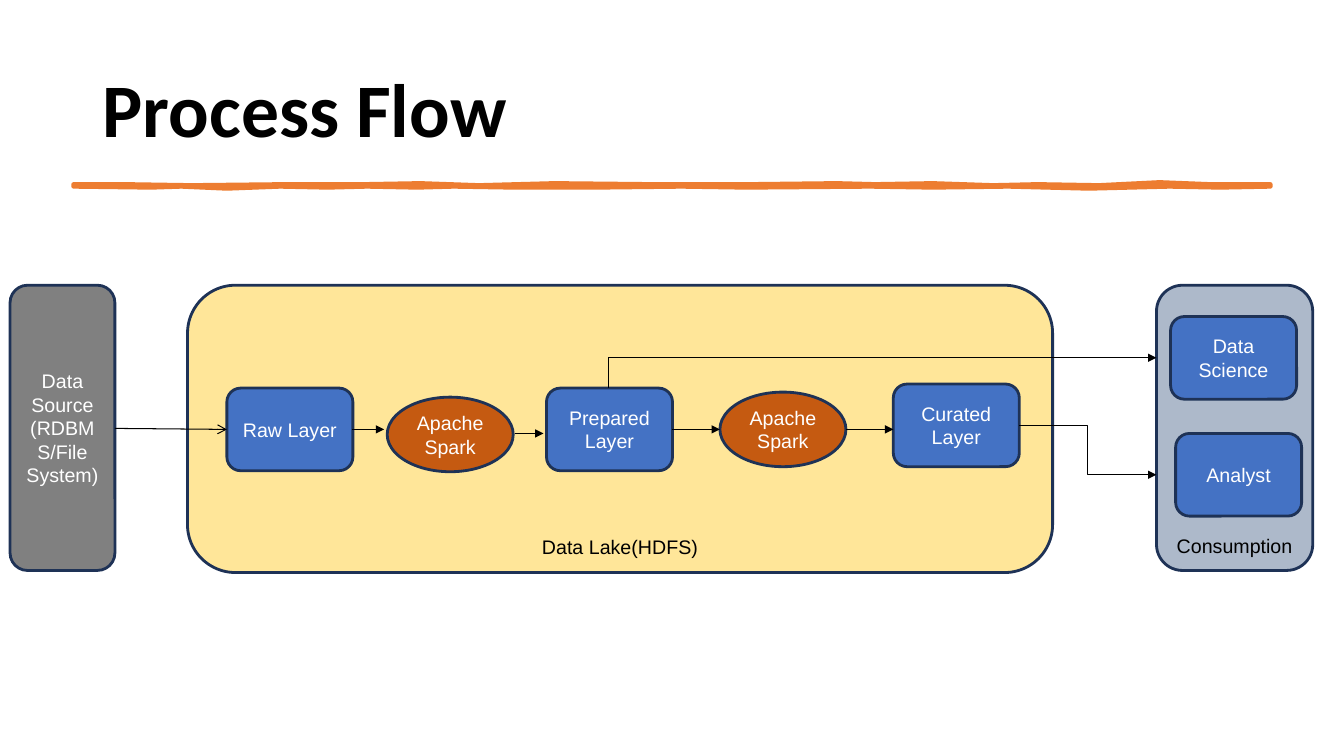
from lxml import etree
from pptx import Presentation
from pptx.dml.color import RGBColor
from pptx.enum.shapes import MSO_CONNECTOR, MSO_SHAPE
from pptx.enum.text import MSO_ANCHOR, PP_ALIGN
from pptx.oxml.ns import qn
from pptx.util import Pt

ROUNDED, ELLIPSE = MSO_SHAPE.ROUNDED_RECTANGLE, MSO_SHAPE.OVAL
STRAIGHT, ELBOW = MSO_CONNECTOR.STRAIGHT, MSO_CONNECTOR.ELBOW
MIDDLE, BOTTOM = MSO_ANCHOR.MIDDLE, MSO_ANCHOR.BOTTOM
LEFT, CENTER = PP_ALIGN.LEFT, PP_ALIGN.CENTER
EMU_PER_PX = 9144  # 100 px to the inch

COLORS = {
    "black": "000000",
    "white": "FFFFFF",
    "accent": "ED7D31",
    "outline": "1E3256",
    "lake": "FFE699",
    "layer": "4472C4",
    "engine": "C55A11",
    "source": "808080",
    "consumption": "ADB9CA",
}

LAYER_SIZE = (125, 82)
ENGINE_SIZE = (125, 74)
LAYERS = [
    (225, 385, "Raw Layer"),
    (542, 385, "Prepared\nLayer"),
    (886, 381, "Curated\nLayer"),
]
ENGINES = [(384, 394, "Apache Spark"), (714, 389, "Apache Spark")]
CONSUMERS = [(1161, 314, "Data Science"), (1166, 430, "Analyst")]
FLOW_ARROWS = [
    ((349, 426), (381, 426)),
    ((511, 430), (539, 430)),
    ((667, 426), (714, 426)),
    ((839, 426), (886, 426)),
]
RULE_TOP = [
    (73, 183), (124, 183), (190, 184), (284, 183), (361, 183), (417, 182),
    (475, 184), (550, 182), (646, 183), (744, 183), (830, 182), (868, 183),
    (925, 182), (985, 184), (1029, 183), (1090, 184), (1150, 181),
    (1200, 183), (1260, 183),
]
RULE_BOTTOM = [
    (1260, 185), (1210, 186), (1160, 185), (1080, 187), (1000, 185),
    (925, 186), (863, 185), (740, 186), (676, 185), (590, 186), (510, 186),
    (450, 185), (414, 186), (364, 185), (325, 186), (278, 185), (225, 187),
    (180, 185), (150, 186), (73, 185),
]


def px(value):
    return round(value * EMU_PER_PX)


def rgb(name):
    return RGBColor.from_string(COLORS[name])


def write_text(shape, text, size=14, font="Arial", color="white", bold=False,
               align=CENTER, anchor=MIDDLE, spacing=1.0, bottom=5):
    """Fill the shape with one paragraph for each line of text."""
    frame = shape.text_frame
    frame.word_wrap = True
    frame.vertical_anchor = anchor
    frame.margin_bottom = px(bottom)
    frame.text = text
    for paragraph in frame.paragraphs:
        paragraph.alignment = align
        paragraph.line_spacing = spacing
        run_font = paragraph.runs[0].font
        run_font.name, run_font.size, run_font.bold = font, Pt(size), bold
        run_font.color.rgb = rgb(color)


class FlowSlide:
    """Holds the slide and draws its elements in one style."""

    def __init__(self, slide, outline="outline", outline_width=2, arrow_width=0.75):
        self.slide = slide
        self.outline = outline
        self.outline_width = outline_width
        self.arrow_width = arrow_width

    def paint(self, shape, fill, line, width):
        shape.shadow.inherit = False
        shape.fill.solid()
        shape.fill.fore_color.rgb = rgb(fill)
        shape.line.color.rgb = rgb(line)
        shape.line.width = Pt(width)

    def title(self, left, top, width, height, text):
        box = self.slide.shapes.add_textbox(px(left), px(top), px(width), px(height))
        write_text(box, text, size=54, font="Calibri", color="black", bold=True,
                   align=LEFT, spacing=0.9)

    def rough_rule(self, points):
        """Draw a hand-drawn rule from the points of its outline."""
        builder = self.slide.shapes.build_freeform(*points[0], scale=EMU_PER_PX)
        builder.add_line_segments(points[1:], close=True)
        rule = builder.convert_to_shape()
        self.paint(rule, "accent", "accent", 3.25)
        etree.SubElement(rule.element.spPr.find(qn("a:ln")), qn("a:round"))

    def node(self, kind, left, top, size, fill, text, **text_format):
        width, height = size
        shape = self.slide.shapes.add_shape(kind, px(left), px(top), px(width), px(height))
        self.paint(shape, fill, self.outline, self.outline_width)
        write_text(shape, text, **text_format)

    def arrow(self, start, end, kind=STRAIGHT, head="triangle"):
        ends = [px(value) for value in (*start, *end)]
        connector = self.slide.shapes.add_connector(kind, *ends)
        connector.line.color.rgb = rgb("black")
        connector.line.width = Pt(self.arrow_width)
        properties = connector.element.spPr
        etree.SubElement(properties.find(qn("a:ln")), qn("a:tailEnd"), type=head)
        etree.SubElement(properties, qn("a:effectLst"))
        return connector

    def corner_arrow(self, start, end):
        """Go up from start, then right to end, as a one-bend connector turned by 90°."""
        center_x, center_y = (start[0] + end[0]) / 2, (start[1] + end[1]) / 2
        half_width, half_height = (start[1] - end[1]) / 2, (end[0] - start[0]) / 2
        connector = self.arrow((center_x + half_width, center_y + half_height),
                               (center_x - half_width, center_y - half_height), ELBOW)
        properties = connector.element.spPr
        properties.find(qn("a:xfrm")).set("rot", str(90 * 60000))
        properties.find(qn("a:prstGeom")).set("prst", "bentConnector2")


def main():
    presentation = Presentation()
    presentation.slide_width, presentation.slide_height = px(1333), px(750)
    flow = FlowSlide(presentation.slides.add_slide(presentation.slide_layouts[6]))

    flow.title(92, 40, 1150, 145, "Process Flow")
    flow.rough_rule(RULE_TOP + RULE_BOTTOM)

    flow.node(ROUNDED, 186, 283, (858, 285), "lake", "Data Lake(HDFS)",
              color="black", anchor=BOTTOM, bottom=0)
    for left, top, text in LAYERS:
        flow.node(ROUNDED, left, top, LAYER_SIZE, "layer", text)
    for left, top, text in ENGINES:
        flow.node(ELLIPSE, left, top, ENGINE_SIZE, "engine", text)
    flow.node(ROUNDED, 10, 283, (104, 283), "source", "Data Source\n(RDBMS/File System)")
    flow.node(ROUNDED, 1147, 283, (155, 283), "consumption", "Consumption",
              color="black", anchor=BOTTOM)
    for left, top, text in CONSUMERS:
        flow.node(ROUNDED, left, top, LAYER_SIZE, "layer", text)

    flow.arrow((114, 425), (225, 426), head="arrow")
    for start, end in FLOW_ARROWS:
        flow.arrow(start, end)
    flow.corner_arrow((604, 385), (1147, 355))
    flow.arrow((1011, 422), (1147, 471), ELBOW)

    presentation.save("out.pptx")


if __name__ == "__main__":
    main()
